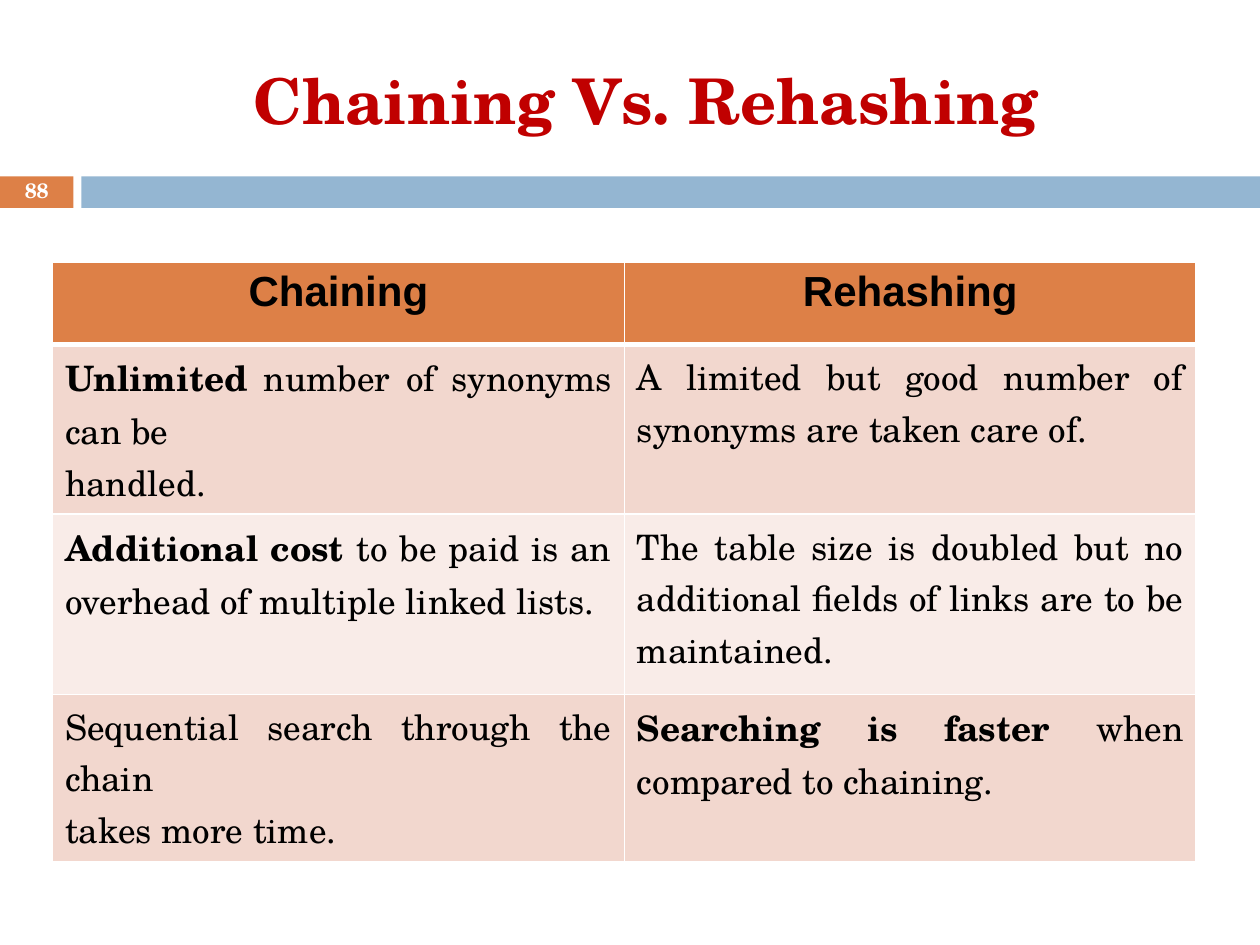
import dataclasses

import pptx
import pptx.dml.color
import pptx.enum.shapes
import pptx.enum.text
import pptx.oxml
import pptx.oxml.ns
import pptx.util

Pt = pptx.util.Pt
Align = pptx.enum.text.PP_ALIGN
Anchor = pptx.enum.text.MSO_ANCHOR
Rgb = pptx.dml.color.RGBColor.from_string


@dataclasses.dataclass(frozen=True)
class Theme:
    serif: str = "TeX Gyre Schola"
    sans: str = "Arial"
    orange: str = "DD8047"
    blue: str = "94B6D2"
    red: str = "C00000"
    black: str = "000000"
    white: str = "FFFFFF"
    bands: tuple = ("F2D7CE", "F9ECE8")
    title: float = 36
    head: float = 24
    body: float = 20
    number: float = 11.9


THEME = Theme()
HEADS = ["Chaining", "Rehashing"]
ROWS = [
    [("Unlimited", [" number of synonyms can be", "handled."]),
     ("", ["A limited but good number of synonyms are taken care of."])],
    [("Additional cost ",
      ["to be paid is an overhead of multiple linked lists."]),
     ("", ["The table size is doubled but no additional fields of links "
           "are to be maintained."])],
    [("", ["Sequential search through the chain", "takes more time."]),
     ("Searching is faster ", ["when compared to chaining."])],
]
HEIGHTS = [46.8, 96.6, 103, 95]
WIDTH = 326.8


def style(run, font, size, color, bold=False):
    run.font.name = font
    run.font.size = Pt(size)
    run.font.color.rgb = Rgb(color)
    run.font.bold = bold


def add_bar(slide, left, width, color):
    bar = slide.shapes.add_shape(
        pptx.enum.shapes.MSO_SHAPE.RECTANGLE,
        Pt(left), Pt(100.8), Pt(width), Pt(18))
    bar.shadow.inherit = False
    bar.fill.solid()
    bar.fill.fore_color.rgb = Rgb(color)
    bar.line.fill.background()


def set_line(frame, text, size, color):
    frame.text = text
    frame.word_wrap = True
    frame.auto_size = pptx.enum.text.MSO_AUTO_SIZE.NONE
    frame.vertical_anchor = Anchor.MIDDLE
    para = frame.paragraphs[0]
    para.alignment = Align.CENTER
    style(para.runs[0], THEME.serif, size, color, True)
    return para


def add_title(slide, text):
    title = slide.shapes.title
    title.left, title.top = Pt(48), Pt(18)
    title.width, title.height = Pt(642), Pt(78)
    set_line(title.text_frame, text, THEME.title, THEME.red)


def add_number(slide, text):
    box = slide.shapes.add_textbox(Pt(0), Pt(100), Pt(42), Pt(19.5))
    para = set_line(box.text_frame, text, THEME.number, THEME.white)
    para.line_spacing = 0.8


def set_cell(cell, fill, top=1, base=1):
    props = cell._tc.get_or_add_tcPr()
    for side, width in zip("LRTB", (1, 1, top, base)):
        props.append(pptx.oxml.parse_xml(
            f'<a:ln{side} {pptx.oxml.ns.nsdecls("a")} w="{Pt(width)}">'
            f'<a:solidFill><a:srgbClr val="{THEME.white}"/></a:solidFill>'
            f'</a:ln{side}>'))
    cell.fill.solid()
    cell.fill.fore_color.rgb = Rgb(fill)


def fill_head(cell, text):
    set_cell(cell, THEME.orange, base=3)
    cell.text_frame.text = text
    para = cell.text_frame.paragraphs[0]
    para.alignment = Align.CENTER
    style(para.runs[0], THEME.sans, THEME.head, THEME.black, True)


def fill_body(cell, lead, lines, fill, top):
    set_cell(cell, fill, top)
    frame = cell.text_frame
    if lead:
        frame.text = lead
        frame.paragraphs[0].add_run().text = lines[0]
    else:
        frame.text = lines[0]
    for line in lines[1:]:
        frame.add_paragraph().text = line
    for para in frame.paragraphs:
        para.alignment = Align.JUSTIFY
        for run in para.runs:
            style(run, THEME.serif, THEME.body, THEME.black, run.text == lead)


def add_grid(slide):
    grid = slide.shapes.add_table(
        len(HEIGHTS), len(HEADS), Pt(30), Pt(150),
        Pt(WIDTH * len(HEADS)), Pt(sum(HEIGHTS))).table
    for col in grid.columns:
        col.width = Pt(WIDTH)
    for row, height in zip(grid.rows, HEIGHTS):
        row.height = Pt(height)
    for c, text in enumerate(HEADS):
        fill_head(grid.cell(0, c), text)
    for r, row in enumerate(ROWS):
        for c, (lead, lines) in enumerate(row):
            fill_body(grid.cell(r + 1, c), lead, lines,
                      THEME.bands[r % 2], 1 if r else 3)


def main():
    deck = pptx.Presentation()
    deck.slide_width, deck.slide_height = Pt(720), Pt(540)
    slide = deck.slides.add_slide(deck.slide_layouts[5])
    add_bar(slide, 0, 42, THEME.orange)
    add_bar(slide, 46.5, 673.5, THEME.blue)
    add_title(slide, "Chaining Vs. Rehashing")
    add_number(slide, "88")
    add_grid(slide)
    deck.save("out.pptx")


if __name__ == "__main__":
    main()
